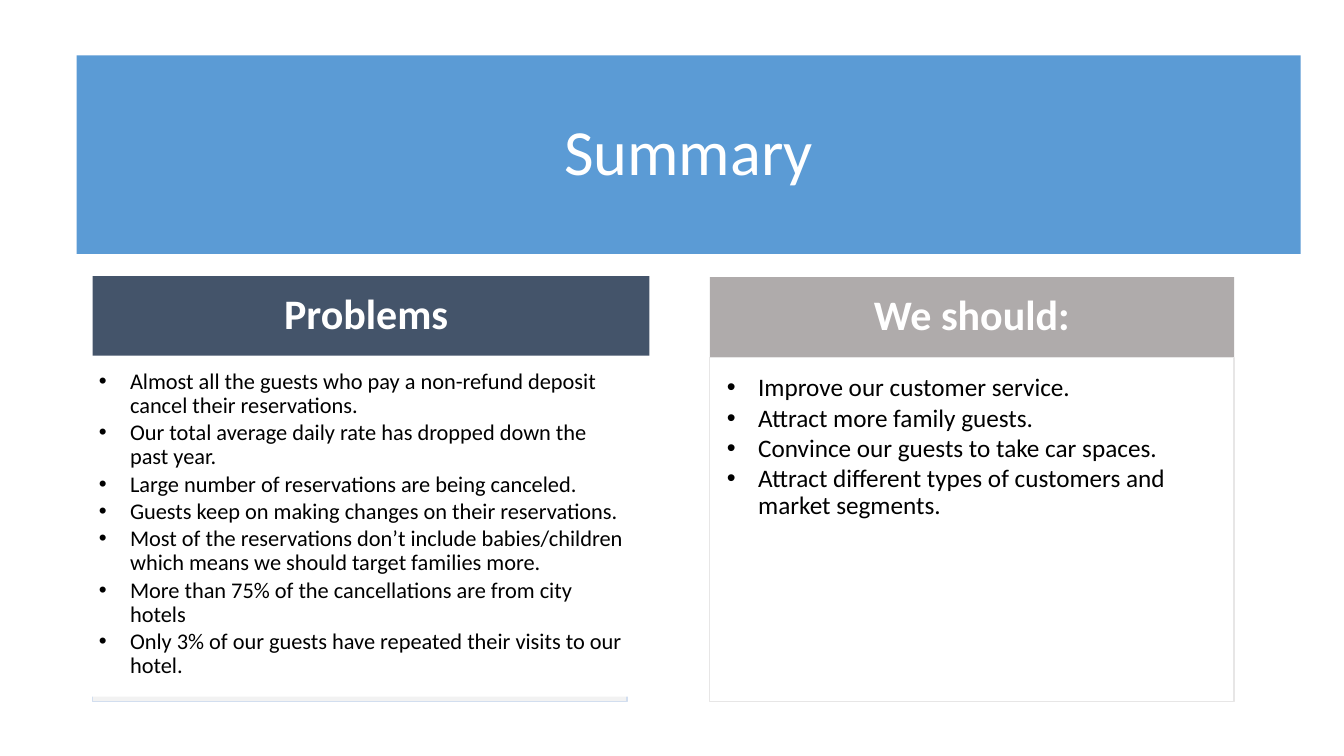
from dataclasses import dataclass

from lxml import etree
from pptx import Presentation
from pptx.dml.color import RGBColor
from pptx.enum.shapes import MSO_SHAPE
from pptx.enum.text import MSO_ANCHOR, PP_ALIGN
from pptx.oxml.ns import qn
from pptx.util import Inches, Pt

RECTANGLE = MSO_SHAPE.RECTANGLE
TOP, MIDDLE = MSO_ANCHOR.TOP, MSO_ANCHOR.MIDDLE
LEFT, CENTER = PP_ALIGN.LEFT, PP_ALIGN.CENTER


@dataclass(frozen=True)
class Theme:
    font: str = "Calibri"
    white: str = "FFFFFF"
    black: str = "000000"
    banner: str = "5B9BD5"
    navy: str = "44546A"
    gray: str = "AFABAB"
    backing: str = "F2F2F2"
    backing_edge: str = "D2DEEF"
    card_edge: str = "E7E6E6"
    title_size: int = 46
    heading_size: int = 30
    problem_size: int = 16
    action_size: int = 18


THEME = Theme()

# Areas are left, top, width, height in percent of the slide.
TITLE = "Summary"
TITLE_AREA = (5.7, 7.33, 91.07, 26.27)
BACKING_AREA = (6.9, 47.33, 39.76, 45.47)
COLUMNS = [
    {
        "heading": "Problems ",
        "heading_area": (6.9, 36.53, 41.41, 10.53),
        "heading_fill": THEME.navy,
        "body_area": (6.08, 46.67, 42.24, 45.47),
        "body_edge": None,
        "body_size": THEME.problem_size,
        "points": [
            "Almost all the guests who pay a non-refund deposit cancel their reservations.",
            "Our total average daily rate has dropped down the past year.",
            "Large number of reservations are being canceled.",
            "Guests keep on making changes on their reservations.",
            "Most of the reservations don’t include babies/children which means we should target families more.",
            "More than 75% of the cancellations are from city hotels",
            "Only 3% of our guests have repeated their visits to our hotel.",
        ],
    },
    {
        "heading": "We should:",
        "heading_area": (52.81, 36.67, 39.01, 10.53),
        "heading_fill": THEME.gray,
        "body_area": (52.81, 47.33, 39.01, 45.47),
        "body_edge": THEME.card_edge,
        "body_size": THEME.action_size,
        "points": [
            "Improve our customer service.",
            "Attract more family guests.",
            "Convince our guests to take car spaces.",
            "Attract different types of customers and market segments.",
        ],
    },
]

deck = Presentation()
deck.slide_width, deck.slide_height = Inches(13.33), Inches(7.5)
page = deck.slides.add_slide(deck.slide_layouts[6])


def add_box(area, fill, edge=None, edge_width=0.75):
    sides = (deck.slide_width, deck.slide_height) * 2
    box = page.shapes.add_shape(
        RECTANGLE, *(round(side * share / 100) for side, share in zip(sides, area)))
    box.shadow.inherit = False
    box.fill.solid()
    box.fill.fore_color.rgb = RGBColor.from_string(fill)
    if edge:
        box.line.color.rgb = RGBColor.from_string(edge)
        box.line.width = Pt(edge_width)
    else:
        box.line.fill.background()
    return box


def add_bullet(para):
    properties = para._p.get_or_add_pPr()
    properties.set("marL", str(Inches(0.31)))
    properties.set("indent", str(-Inches(0.31)))
    etree.SubElement(properties, qn("a:buFont"), typeface="Arial")
    etree.SubElement(properties, qn("a:buChar"), char="•")


def write(box, lines, size, color=THEME.white, bold=False, align=CENTER,
          anchor=MIDDLE, insets=(0.1, 0.05, 0.1, 0.05), after=0, bullets=False):
    """Fill a box with one paragraph per line; insets run left, top, right, bottom."""
    frame = box.text_frame
    frame.word_wrap = True
    frame.vertical_anchor = anchor
    (frame.margin_left, frame.margin_top,
     frame.margin_right, frame.margin_bottom) = map(Inches, insets)
    for index, line in enumerate(lines):
        para = frame.add_paragraph() if index else frame.paragraphs[0]
        para.alignment = align
        para.line_spacing = 0.9
        para.space_before = Pt(0)
        para.space_after = Pt(after)
        if bullets:
            para.level = 1
            add_bullet(para)
        span = para.add_run()
        span.text = line
        span.font.name = THEME.font
        span.font.size = Pt(size)
        span.font.bold = bold
        span.font.color.rgb = RGBColor.from_string(color)


write(add_box(TITLE_AREA, THEME.banner), [TITLE], THEME.title_size)
add_box(BACKING_AREA, THEME.backing, THEME.backing_edge, edge_width=1)
for column in COLUMNS:
    body = add_box(column["body_area"], THEME.white, column["body_edge"])
    write(body, column["points"], column["body_size"], color=THEME.black,
          align=LEFT, anchor=TOP, insets=(0.17, 0.17, 0.23, 0.26),
          after=2.2, bullets=True)
    heading = add_box(column["heading_area"], column["heading_fill"])
    write(heading, [column["heading"]], THEME.heading_size, bold=True,
          insets=(0.23, 0.13, 0.23, 0.13))

deck.save("out.pptx")
